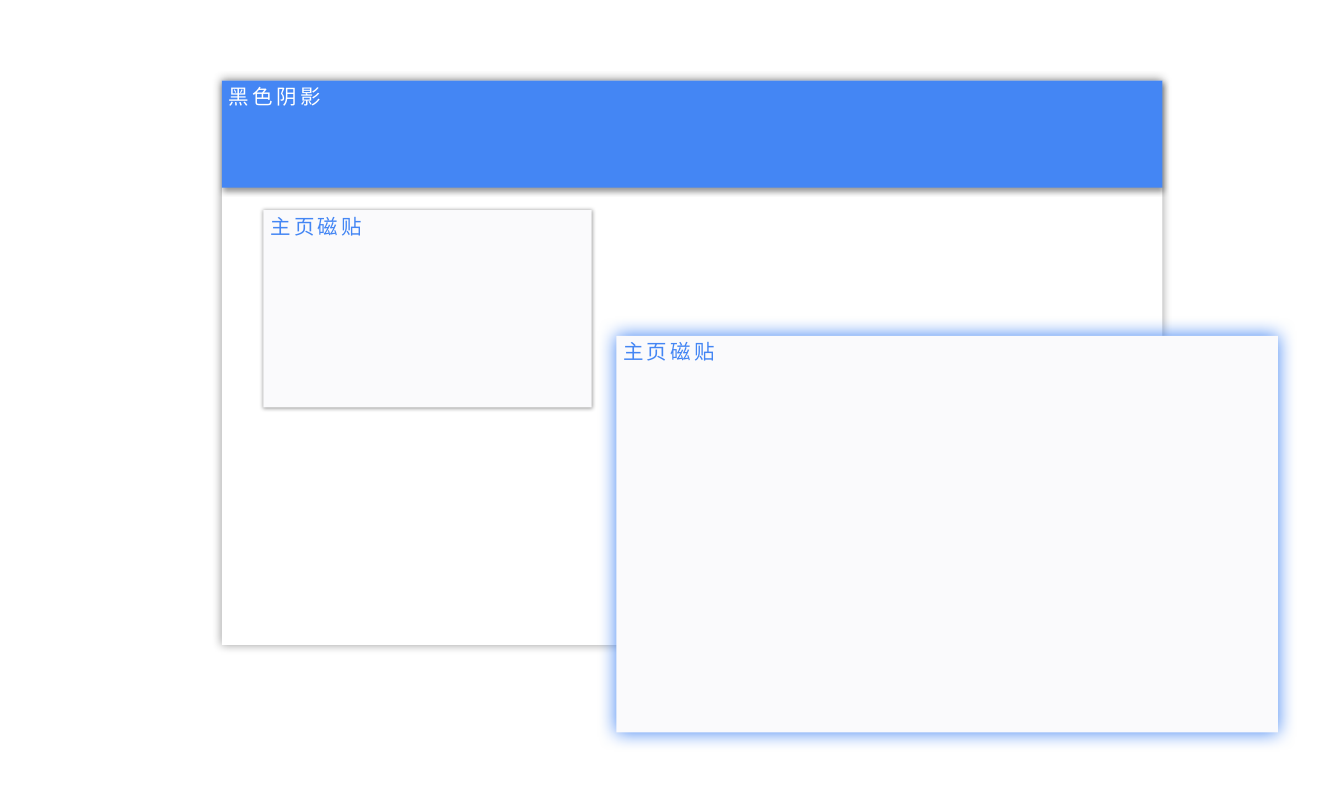
"""Build a slide of shadowed home-page tiles."""
from lxml import etree
from pptx import Presentation
from pptx.dml.color import RGBColor
from pptx.enum.shapes import MSO_SHAPE
from pptx.enum.text import MSO_AUTO_SIZE
from pptx.oxml.ns import qn
from pptx.util import Emu, Pt

RECT = MSO_SHAPE.RECTANGLE
GROW = MSO_AUTO_SIZE.SHAPE_TO_FIT_TEXT
PX = 9144
FONT = "Noto Sans CJK SC"
COLORS = {"white": "FFFFFF", "blue": "4486F4", "tile": "FAFAFC", "black": "000000"}


def add_card(box, fill, tint, alpha, blur, dist=0, angle=0):
    card = slide.shapes.add_shape(RECT, *[Emu(n * PX) for n in box])
    card.fill.solid()
    card.fill.fore_color.rgb = RGBColor.from_string(COLORS[fill])
    card.line.fill.background()
    card.shadow.inherit = False
    effects = card.element.spPr.find(qn("a:effectLst"))
    shade = etree.SubElement(
        effects, qn("a:outerShdw"), blurRad=str(Pt(blur)), dist=str(Pt(dist)),
        dir=str(angle * 60000), algn="ctr", rotWithShape="0")
    color = etree.SubElement(shade, qn("a:srgbClr"), val=COLORS[tint])
    etree.SubElement(color, qn("a:alpha"), val=str(alpha * 1000))


def add_label(text, left, top, color="blue", size=21.6, gap=3.6):
    box = slide.shapes.add_textbox(*[Emu(n * PX) for n in (left, top, 268, 46)])
    frame = box.text_frame
    frame.word_wrap = True
    frame.auto_size = GROW
    run = frame.paragraphs[0].add_run()
    run.text = text
    run.font.size = Pt(size)
    run.font.name = FONT
    run.font.color.rgb = RGBColor.from_string(COLORS[color])
    props = run.font._element
    props.set("spc", str(round(gap * 100)))
    props.set("lang", "zh-CN")
    props.find(qn("a:latin")).addnext(etree.Element(qn("a:ea"), typeface=FONT))


deck = Presentation()
deck.slide_width = Emu(1969 * PX)
deck.slide_height = Emu(1181 * PX)
slide = deck.slides.add_slide(deck.slide_layouts[6])

page = (325, 118)
large = (903, 492)
small = (386, 308)

add_card((*page, 1378, 827), "white", "black", 40, 10)
add_card((*page, 1378, 157), "blue", "black", 40, 6, dist=3, angle=90)
add_label("黑色阴影", *page, color="white")
add_card((*large, 969, 581), "tile", "blue", 100, 20)
add_card((*small, 481, 289), "tile", "black", 40, 5)
for spot in (small, large):
    add_label("主页磁贴", *spot)

deck.save("out.pptx")
